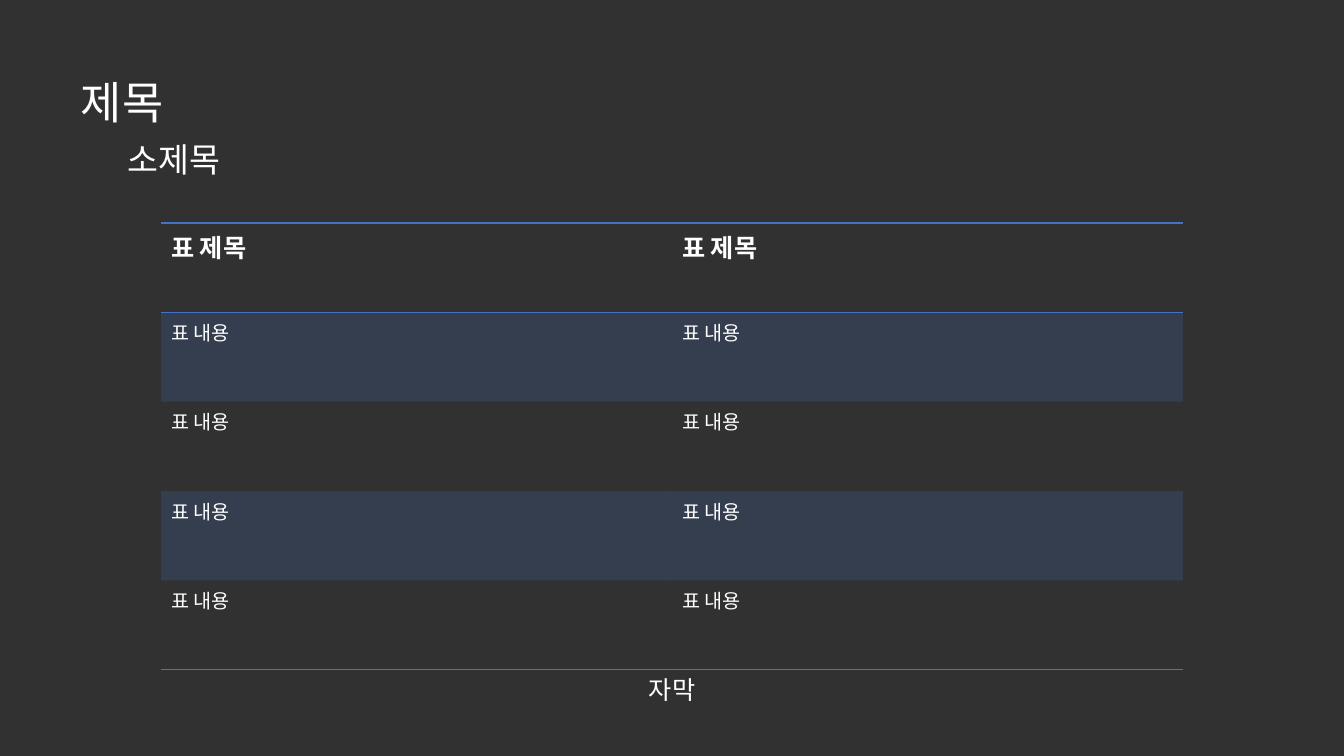
import pptx
import pptx.dml.color
import pptx.enum.text
import pptx.oxml
import pptx.oxml.ns
import pptx.util

SCALE = 914400 / 100.8
FONT = "Noto Sans CJK KR"
COLORS = {"background": "313131", "text": "FFFFFF", "accent": "4472C4"}
ROWS = [["표 제목"] * 2] + [["표 내용"] * 2] * 4


def px(n):
    """Turn pixels into EMU."""
    return pptx.util.Emu(round(n * SCALE))


def rgb(name):
    """Look up a named colour."""
    return pptx.dml.color.RGBColor.from_string(COLORS[name])


def element(tag, **attributes):
    """Make a drawing element with attributes."""
    e = pptx.oxml.parse_xml(f"<a:{tag} {pptx.oxml.ns.nsdecls('a')}/>")
    for key, value in attributes.items():
        e.set(key, str(value))
    return e


def write(tf, text, size, bold=False, align=pptx.enum.text.PP_ALIGN.LEFT):
    """Write one styled paragraph into a text frame."""
    p = tf.paragraphs[0]
    p.text = text
    p.alignment = align
    font = p.font
    font.name = FONT
    font.size = pptx.util.Pt(size)
    font.bold = bold
    font.color.rgb = rgb("text")
    p._p.pPr.find(pptx.oxml.ns.qn("a:defRPr")).append(element("ea", typeface=FONT))


def add_text(s, box, text, size, align=pptx.enum.text.PP_ALIGN.LEFT):
    """Add a text box that grows with its text."""
    tf = s.shapes.add_textbox(*map(px, box)).text_frame
    tf.word_wrap = True
    tf.auto_size = pptx.enum.text.MSO_AUTO_SIZE.SHAPE_TO_FIT_TEXT
    write(tf, text, size, align=align)


def fill_cell(cell, banded):
    """Give a cell the translucent band or no fill."""
    if not banded:
        cell.fill.background()
        return
    cell.fill.solid()
    cell.fill.fore_color.rgb = rgb("accent")
    color = cell._tc.tcPr.find(".//" + pptx.oxml.ns.qn("a:srgbClr"))
    color.append(element("alpha", val=20000))


def set_borders(cell, ruled):
    """Rule the given sides of a cell and clear the others."""
    for i, side in enumerate("LRTB"):
        line = element("ln" + side, w=pptx.util.Pt(1))
        if side in ruled:
            paint = element("solidFill")
            paint.append(element("srgbClr", val=COLORS["accent"]))
        else:
            paint = element("noFill")
        line.append(paint)
        cell._tc.tcPr.insert(i, line)


def add_table(s, box, rows):
    """Add a table with a ruled header and alternating bands."""
    x, y, w, h = map(px, box)
    table = s.shapes.add_table(len(rows), len(rows[0]), x, y, w, h).table
    ruled = {0: "TB", 1: "T", len(rows) - 1: "B"}
    for i, row in enumerate(rows):
        for j, text in enumerate(row):
            cell = table.cell(i, j)
            write(cell.text_frame, text, 14 if i else 18, bold=i == 0)
            fill_cell(cell, i % 2 == 1)
            set_borders(cell, ruled.get(i, ""))


def main():
    """Build the slide and save it."""
    prs = pptx.Presentation()
    prs.slide_width, prs.slide_height = px(1344), px(756)
    s = prs.slides.add_slide(prs.slide_layouts[6])
    s.background.fill.solid()
    s.background.fill.fore_color.rgb = rgb("background")
    add_table(s, (161, 223, 1022, 447), ROWS)
    add_text(s, (0, 669, 1344, 40), "자막", 18, pptx.enum.text.PP_ALIGN.CENTER)
    add_text(s, (71, 70, 1273, 64), "제목", 32)
    add_text(s, (118, 134, 1226, 50), "소제목", 24)
    prs.save("out.pptx")


if __name__ == "__main__":
    main()
